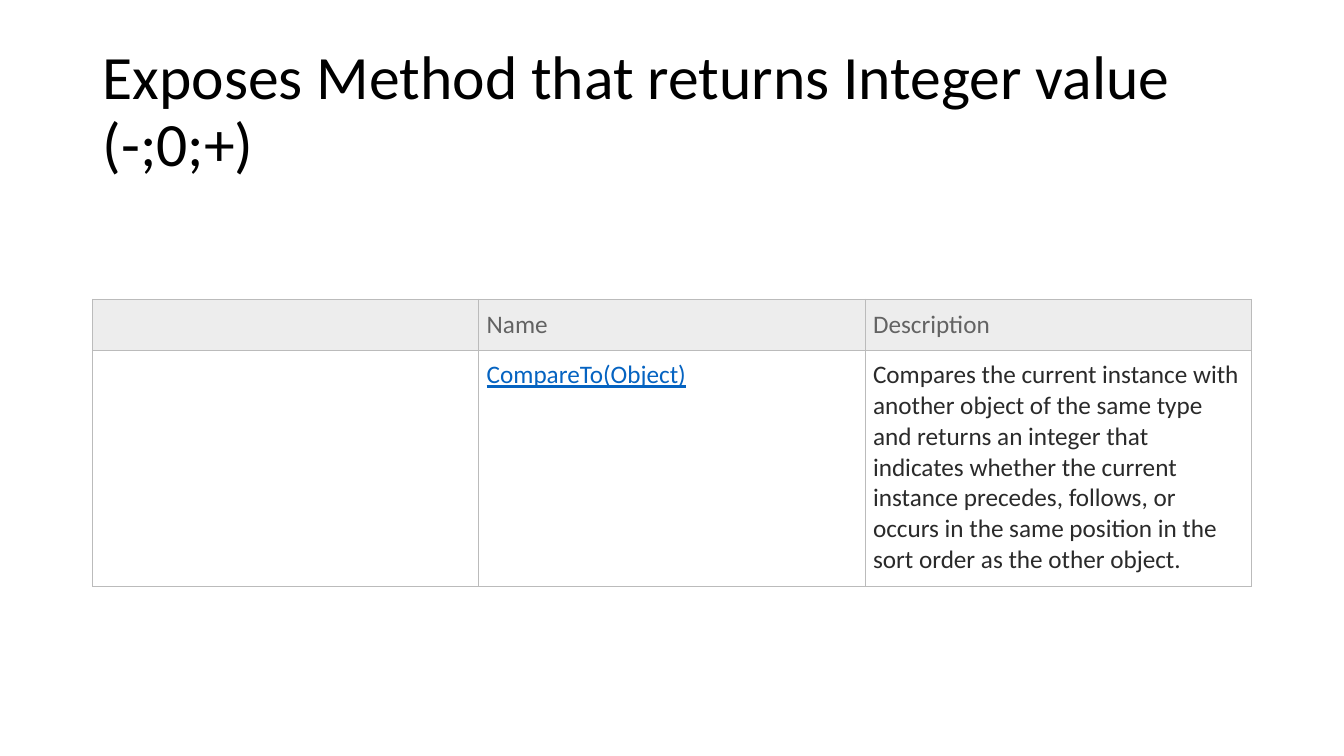
from pptx import Presentation
from pptx.dml.color import RGBColor as RGB
from pptx.enum.text import MSO_ANCHOR as Anchor, MSO_AUTO_SIZE as Fit, PP_ALIGN as Align
from pptx.oxml.ns import qn
from pptx.util import Cm, Pt
from lxml.etree import SubElement as Sub

FONT = "Calibri"
LEFT, WIDTH = 2.33, 29.21
EDGE = "BBBBBB"

# Each cell: text, colour, underlined
HEAD = [("", "636363", False),
        ("Name", "636363", False),
        ("Description", "636363", False)]
BODY = [("", "2A2A2A", False),
        ("CompareTo(Object)", "0563C1", True),
        ("Compares the current instance with another object of the same type "
         "and returns an integer that indicates whether the current instance "
         "precedes, follows, or occurs in the same position in the sort order "
         "as the other object.", "2A2A2A", False)]
# Each row: cells, height in cm, fill, anchor
ROWS = [(HEAD, 1.28, "EDEDED", Anchor.MIDDLE),
        (BODY, 5.97, None, Anchor.TOP)]


def color(code):
    return RGB.from_string(code)


def add_run(para, text, size, code, under=False):
    run = para.add_run()
    run.text = text
    font = run.font
    font.name, font.size, font.underline = FONT, Pt(size), under
    font.color.rgb = color(code)


def add_title(slide, lines):
    title = slide.shapes.title
    title.left, title.top = Cm(LEFT), Cm(1.01)
    title.width, title.height = Cm(WIDTH), Cm(3.68)
    frame = title.text_frame
    frame.word_wrap, frame.auto_size = True, Fit.NONE
    frame.vertical_anchor = Anchor.MIDDLE
    para = frame.paragraphs[0]
    para.alignment, para.line_spacing = Align.LEFT, 0.9
    for i, line in enumerate(lines):
        if i:
            para.add_line_break()
        add_run(para, line, 44, "000000")


def set_fill(cell, code):
    if code:
        cell.fill.solid()
        cell.fill.fore_color.rgb = color(code)
    else:
        cell.fill.background()


def set_edges(cell):
    props = cell._tc.get_or_add_tcPr()
    for i, side in enumerate(("lnL", "lnR", "lnT", "lnB")):
        line = Sub(props, qn(f"a:{side}"), w=str(Pt(0.75)))
        fill = Sub(line, qn("a:solidFill"))
        Sub(fill, qn("a:srgbClr"), val=EDGE)
        props.insert(i, line)  # borders come before the fill


def fill_cell(cell, text, code, under, back, anchor):
    cell.margin_left = cell.margin_right = Cm(0.2)
    cell.margin_top = cell.margin_bottom = Cm(0.25)
    cell.vertical_anchor = anchor
    para = cell.text_frame.paragraphs[0]
    para.font.size = Pt(18)
    if text:
        add_run(para, text, 18, code, under)
    set_fill(cell, back)
    set_edges(cell)


def add_grid(slide, rows):
    count = len(rows[0][0])
    high = sum(row[1] for row in rows)
    table = slide.shapes.add_table(len(rows), count, Cm(LEFT), Cm(7.54),
                                   Cm(WIDTH), Cm(high)).table
    table.first_row = table.horz_banding = False
    for col in table.columns:
        col.width = Cm(WIDTH / count)
    for r, (cells, height, back, anchor) in enumerate(rows):
        table.rows[r].height = Cm(height)
        for c, (text, code, under) in enumerate(cells):
            fill_cell(table.cell(r, c), text, code, under, back, anchor)


def main():
    prs = Presentation()
    prs.slide_width, prs.slide_height = Cm(33.87), Cm(19.05)
    slide = prs.slides.add_slide(prs.slide_layouts[5])  # title only

    # Heading
    add_title(slide, ["Exposes Method that returns Integer value ", "(-;0;+)"])

    # Method table
    add_grid(slide, ROWS)

    prs.save("out.pptx")


if __name__ == "__main__":
    main()
